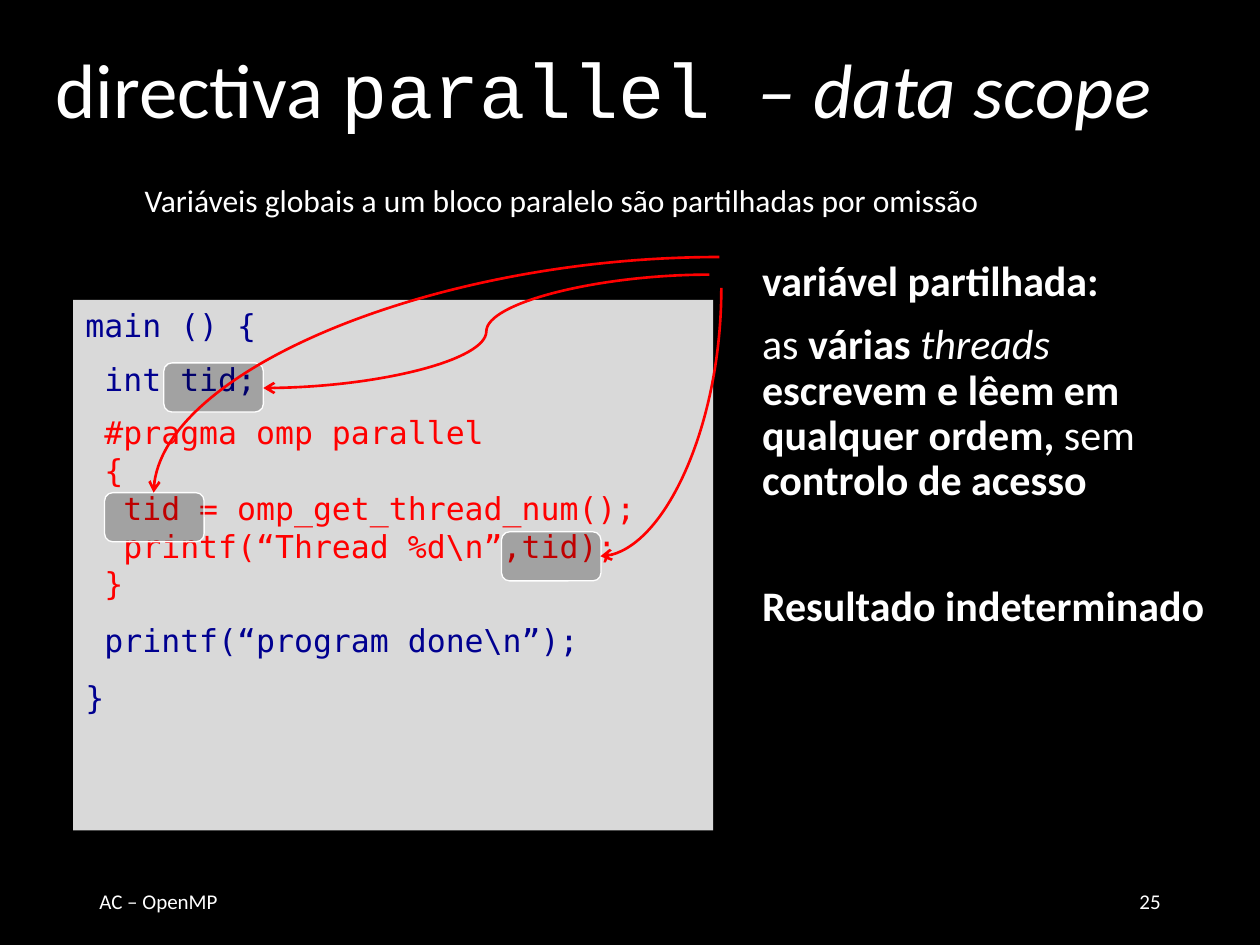
from lxml import etree
from pptx import Presentation
from pptx.dml.color import RGBColor
from pptx.enum.shapes import MSO_CONNECTOR, MSO_SHAPE
from pptx.enum.text import MSO_ANCHOR, PP_ALIGN
from pptx.oxml.ns import qn
from pptx.util import Inches, Pt

CURVE = MSO_CONNECTOR.CURVE
RECTANGLE, ROUNDED = MSO_SHAPE.RECTANGLE, MSO_SHAPE.ROUNDED_RECTANGLE
TOP, MIDDLE = MSO_ANCHOR.TOP, MSO_ANCHOR.MIDDLE
LEFT, RIGHT = PP_ALIGN.LEFT, PP_ALIGN.RIGHT

SANS, TITLE_MONO, CODE_MONO = "Calibri", "Courier New", "DejaVu Sans Mono"
WHITE, BLACK, GREY, RED, NAVY = "FFFFFF", "000000", "D9D9D9", "FF0000", "000090"


def color(hex_string):
    return RGBColor.from_string(hex_string)


def add_run(paragraph, text, size, font=SANS, ink=WHITE, bold=False, italic=False):
    run = paragraph.add_run()
    run.text = text
    run.font.name = font
    run.font.size = Pt(size)
    run.font.color.rgb = color(ink)
    run.font.bold = bold
    run.font.italic = italic


def next_paragraph(text_frame, index):
    return text_frame.add_paragraph() if index else text_frame.paragraphs[0]


def add_text(slide, box, paragraphs, size, anchor=TOP, align=LEFT, line_spacing=1.0):
    """Each paragraph is (space before, [(text, run options), ...])."""
    text_frame = slide.shapes.add_textbox(*map(Inches, box)).text_frame
    text_frame.word_wrap = True
    text_frame.vertical_anchor = anchor
    for index, (space_before, runs) in enumerate(paragraphs):
        paragraph = next_paragraph(text_frame, index)
        paragraph.alignment = align
        paragraph.line_spacing = line_spacing
        paragraph.space_before = Pt(space_before)
        for text, options in runs:
            add_run(paragraph, text, size, **options)


def add_code(slide, box, lines):
    """Each line is (text, colour, space before, space after)."""
    shape = slide.shapes.add_shape(RECTANGLE, *map(Inches, box))
    shape.shadow.inherit = False
    shape.fill.solid()
    shape.fill.fore_color.rgb = color(GREY)
    shape.line.fill.background()
    text_frame = shape.text_frame
    text_frame.word_wrap = True
    text_frame.vertical_anchor = TOP
    for index, (text, ink, before, after) in enumerate(lines):
        paragraph = next_paragraph(text_frame, index)
        paragraph.alignment = LEFT
        paragraph.space_before = Pt(before)
        paragraph.space_after = Pt(after)
        add_run(paragraph, text, 18, CODE_MONO, ink)


def add_highlight(slide, left, top):
    shape = slide.shapes.add_shape(
        ROUNDED, Inches(left), Inches(top), Inches(0.79), Inches(0.39))
    shape.shadow.inherit = False
    shape.fill.solid()
    shape.fill.fore_color.rgb = color(BLACK)
    fill_color = shape.fill._xPr.find(qn("a:solidFill"))[0]
    etree.SubElement(fill_color, qn("a:alpha"), val="25000")
    shape.line.color.rgb = color(WHITE)
    shape.line.width = Pt(0.75)


def add_curve(slide, start, end, preset, rotation=0):
    """Curved arrow; start and end are given before the rotation in degrees."""
    connector = slide.shapes.add_connector(CURVE, *map(Inches, start + end))
    connector.line.color.rgb = color(RED)
    connector.line.width = Pt(1.5)
    etree.SubElement(connector.line._get_or_add_ln(), qn("a:tailEnd"), type="arrow")
    properties = connector._element.spPr
    etree.SubElement(properties, qn("a:effectLst"))
    properties.find(qn("a:prstGeom")).set("prst", preset)
    if rotation:
        properties.find(qn("a:xfrm")).set("rot", str(rotation * 60000))


def main():
    presentation = Presentation()
    presentation.slide_width, presentation.slide_height = Inches(10), Inches(7.5)
    slide = presentation.slides.add_slide(presentation.slide_layouts[6])
    slide.background.fill.solid()
    slide.background.fill.fore_color.rgb = color(BLACK)

    # Title and subtitle
    title = [("directiva ", {}), ("parallel ", {"font": TITLE_MONO}),
             ("– data scope", {"italic": True})]
    add_text(slide, (0.34, 0.28, 9.33, 0.92), [(0, title)], 44, MIDDLE, line_spacing=0.9)
    subtitle = "Variáveis globais a um bloco paralelo são partilhadas por omissão"
    add_text(slide, (1.05, 1.39, 8.41, 0.44), [(0, [(subtitle, {})])], 18)

    # Explanation on the right
    bold = {"bold": True}
    add_text(slide, (5.95, 2.02, 3.83, 3.46), [
        (0, [("variável partilhada:", bold)]),
        (10, [("as ", {}), ("várias ", bold), ("threads ", {"italic": True}),
              ("escrevem e lêem em qualquer ordem,", bold), (" sem ", {}),
              ("controlo de acesso", bold)]),
        (46, [("Resultado indeterminado", bold)]),
    ], 24, line_spacing=0.9)

    # Code listing
    add_code(slide, (0.58, 2.38, 5.08, 4.21), [
        ("main () {", NAVY, 0, 9),
        (" int tid;", NAVY, 0, 9),
        (" #pragma omp parallel", RED, 0, 0),
        (" {", RED, 0, 0),
        ("  tid = omp_get_thread_num();", RED, 0, 0),
        ("  printf(“Thread %d\\n”,tid);", RED, 0, 0),
        (" }", RED, 0, 0),
        (" printf(“program done\\n”);", NAVY, 10.8, 0),
        ("}", NAVY, 10.8, 0),
    ])

    # Uses of the shared variable
    for left, top in ((1.3, 2.88), (0.83, 3.91), (3.98, 4.22)):
        add_highlight(slide, left, top)
    add_curve(slide, (5.63, 2.18), (2.09, 3.08), "curvedConnector3")
    add_curve(slide, (5.71, 2.04), (1.22, 3.91), "curvedConnector2")
    add_curve(slide, (4.18, 2.87), (6.31, 3.83), "curvedConnector2", rotation=90)

    # Footer
    for left, text, align in ((0.69, "AC – OpenMP", LEFT), (7.06, "25", RIGHT)):
        add_text(slide, (left, 6.95, 2.25, 0.4), [(0, [(text, {})])], 12, MIDDLE, align)

    presentation.save("out.pptx")


if __name__ == "__main__":
    main()
